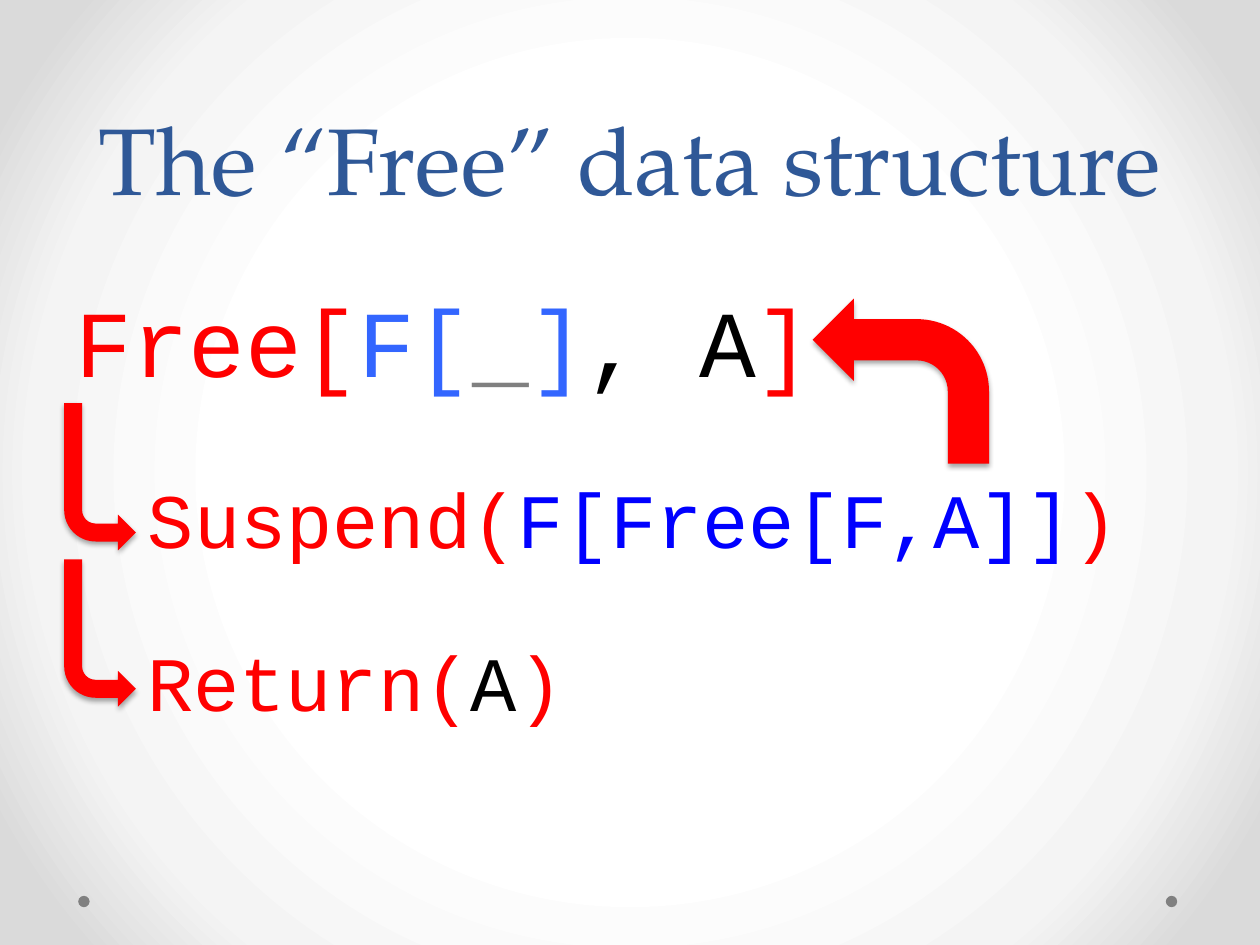
from pptx import Presentation
from pptx import util as u
from pptx.dml.color import RGBColor
from pptx.enum import shapes, text
from pptx.oxml import ns, parse_xml

Pt = u.Pt
RED = RGBColor(0xFF, 0x00, 0x00)
BLUE = RGBColor(0x00, 0x00, 0xFF)
SKY = RGBColor(0x33, 0x66, 0xFF)
NAVY = RGBColor(0x2F, 0x58, 0x97)
GRAY = RGBColor(0x80, 0x80, 0x80)
BLACK = RGBColor(0x00, 0x00, 0x00)
WHITE = RGBColor(0xFF, 0xFF, 0xFF)
PALE = RGBColor(0xF4, 0xF4, 0xF4)
SILVER = RGBColor(0xDA, 0xDA, 0xDA)
STOPS = ((50, WHITE), (76, PALE), (92, SILVER))
CODE = "Courier New"
SERIF = "TeX Gyre Pagella"


def paint(slide):
    slide.background.fill.gradient()
    stops = "".join(
        f'<a:gs pos="{pos * 1000}"><a:srgbClr val="{color}"/></a:gs>'
        for pos, color in STOPS
    )
    grad = parse_xml(
        f'<a:gradFill {ns.nsdecls("a")} rotWithShape="1"><a:gsLst>{stops}</a:gsLst>'
        '<a:path path="circle"><a:fillToRect l="50000" t="50000" r="50000" b="50000"/>'
        "</a:path></a:gradFill>"
    )
    old = slide.background._cSld.find(".//" + ns.qn("a:gradFill"))
    old.getparent().replace(old, grad)


def write(slide, box, runs, font, size):
    frame = slide.shapes.add_textbox(*map(Pt, box)).text_frame
    frame.word_wrap = True
    para = frame.paragraphs[0]
    para.font.name = font
    para.font.size = Pt(size)
    for words, color in runs:
        run = para.add_run()
        run.text = words
        run.font.color.rgb = color
    return frame, para


def title(slide, box, words):
    frame, para = write(slide, box, [(words, NAVY)], SERIF, 54)
    frame.vertical_anchor = text.MSO_ANCHOR.BOTTOM
    para.alignment = text.PP_ALIGN.CENTER
    para.line_spacing = Pt(58)


def code(slide, box, runs, size):
    para = write(slide, box, runs, CODE, size)[1]
    para.space_before = Pt(size * 0.2)


def solid(slide, kind, box, color):
    shape = slide.shapes.add_shape(kind, *map(Pt, box))
    shape.shadow.inherit = False
    shape.fill.solid()
    shape.fill.fore_color.rgb = color
    shape.line.fill.background()
    return shape


def arrow(slide, box, flip):
    shape = solid(slide, shapes.MSO_SHAPE.BENT_ARROW, box, RED)
    props = shape._element.spPr
    props.find(ns.qn("a:xfrm")).set(flip, "1")
    props.find(ns.qn("a:effectLst")).append(parse_xml(
        f'<a:outerShdw {ns.nsdecls("a")} blurRad="{Pt(3.1)}" dist="{Pt(1.8)}" '
        'dir="5400000" rotWithShape="0"><a:srgbClr val="000000">'
        '<a:alpha val="35000"/></a:srgbClr></a:outerShdw>'
    ))


def dots(slide, box):
    left, top, wide, size = box
    for x in (left, left + wide - size):
        solid(slide, shapes.MSO_SHAPE.OVAL, (x, top, size, size), GRAY)


def body(slide, box):
    left, top, wide, high = box
    code(slide, (left + 41.5, top + 107.3, 587.5, 82),
         [("Suspend(", RED), ("F[Free[F,A]]", BLUE), (")", RED)], 44)
    code(slide, (left + 41, top + 200.9, 587.5, 82),
         [("Return(", RED), ("A", BLACK), (")", RED)], 44)
    code(slide, (left, top, wide, 94.3),
         [("Free[", RED), ("F[", SKY), ("_", GRAY), ("]", SKY),
          (", A", BLACK), ("]", RED)], 54)
    arrow(slide, (left + 428.4, top + 12.2, 100.8, 94.3), "flipH")
    for y in (72, 161.3):
        arrow(slide, (left + 0.7, top + y, 41, 84.2), "flipV")


def main():
    deck = Presentation()
    deck.slide_width, deck.slide_height = Pt(720), Pt(540)
    slide = deck.slides.add_slide(deck.slide_layouts[6])
    paint(slide)
    dots(slide, (44.7, 511.9, 628, 6.5))
    title(slide, (36, 0, 648, 126), "The “Free” data structure")
    body(slide, (36, 158.4, 633, 283))
    deck.save("out.pptx")


if __name__ == "__main__":
    main()
